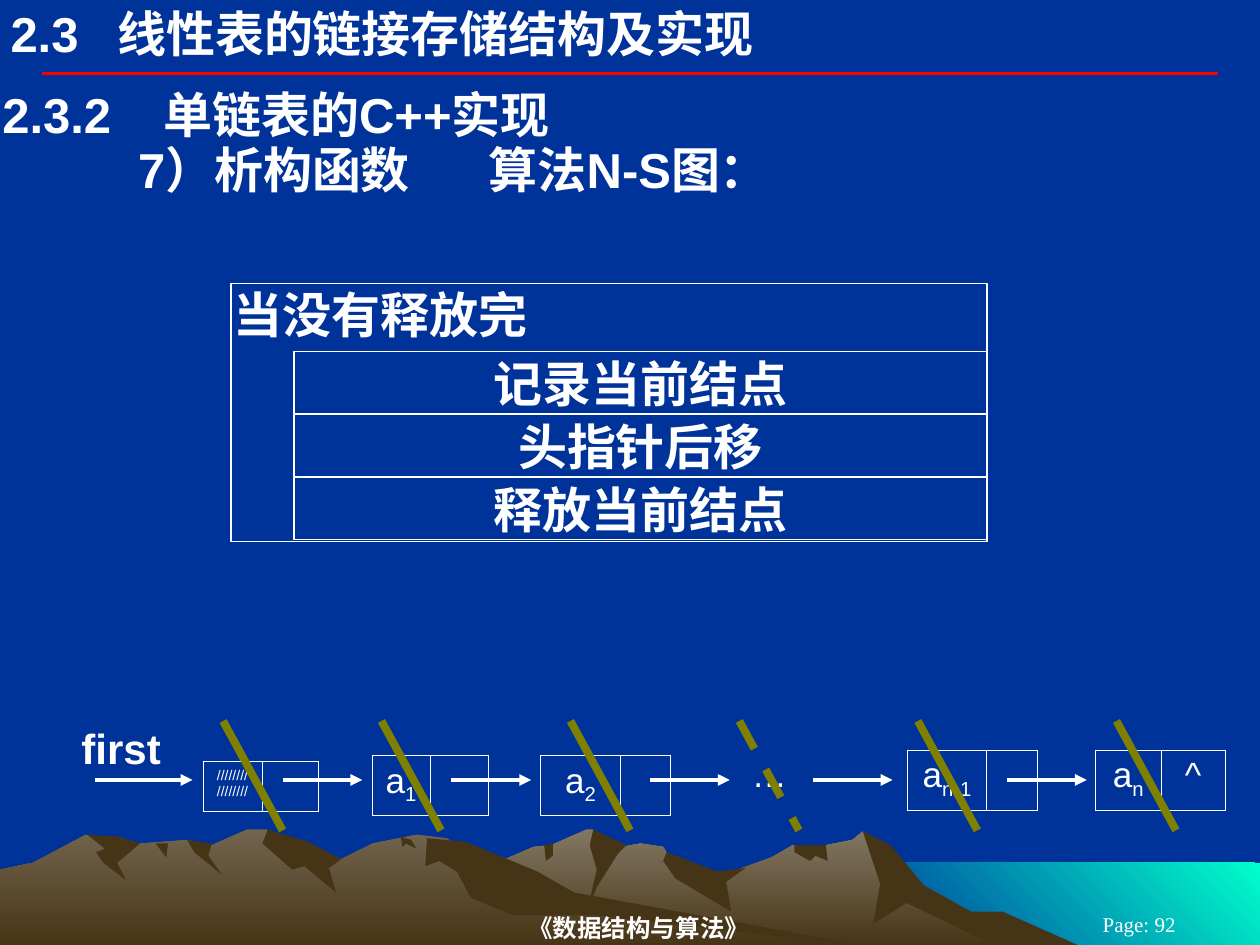
from dataclasses import dataclass
from typing import Optional

from lxml.etree import SubElement
from pptx import Presentation
from pptx.dml.color import RGBColor
from pptx.enum.dml import MSO_LINE
from pptx.enum.shapes import MSO_CONNECTOR, MSO_SHAPE
from pptx.enum.text import MSO_ANCHOR, PP_ALIGN
from pptx.oxml.ns import qn
from pptx.util import Pt

WHITE, NAVY, RED, OLIVE = "FFFFFF", "003399", "FF0000", "808000"
AQUA, ROCK, DARK_ROCK, SHADE = "00FFCC", "837763", "72644E", "463416"
SLIDE_WIDTH, SLIDE_HEIGHT = 720, 540
GROUND = 541
DOWN, DOWN_LEFT = 270, 225
LEFT, CENTER = PP_ALIGN.LEFT, PP_ALIGN.CENTER
TOP, MIDDLE = MSO_ANCHOR.TOP, MSO_ANCHOR.MIDDLE

TITLE = "2.3\t线性表的链接存储结构及实现"
SECTION = "2.3.2\t单链表的C++实现"
TOPIC = "\t7）析构函数\t算法N-S图："
COURSE, PAGE = "《数据结构与算法》", "Page: 92"

LOOP_CONDITION = "当没有释放完"
LOOP_STEPS = ["记录当前结点", "头指针后移", "释放当前结点"]
LOOP_LEFT, LOOP_TOP, LOOP_WIDTH, LOOP_HEIGHT = 132, 162, 432, 147.6
STEP_TOP, STEP_PITCH, STEP_WIDTH, STEP_HEIGHT = 201, 36, 396, 35.3


@dataclass
class Node:
    left: float
    top: float
    height: float
    fields: list
    widths: list
    strike: float
    link: Optional[float] = None
    size: int = 20
    faded: bool = False


HEAD_POINTER, HEAD_LINK = "first", (54, 110)
NODES = [
    Node(116, 435, 26.6, ["////////////////", ""], [33.8, 32.4], 127.5, 161.5, size=8),
    Node(212.5, 431.5, 34.6, ["a_1", ""], [33.2, 33.2], 218, 258),
    Node(309, 431.5, 34.6, ["a_2", ""], [45.4, 28.8], 326, 371.5),
    Node(422.5, 428.5, 31.7, ["…"], [33.8], 422.5, 464.5, faded=True),
    Node(518.5, 428.5, 34.6, ["a_n-1", ""], [45.4, 28.8], 524.5, 575.5),
    Node(626, 428.5, 34.6, ["a_n", "^"], [37.4, 36.7], 638),
]
LINK_Y, LINK_LENGTH = 445.7, 45.5
STRIKE_TOP, STRIKE_WIDTH, STRIKE_HEIGHT = 412, 34, 62.5

SHORE = [(492, 493), (720, 493)]
RIGHT_RIDGE = [
    (186, 541), (199, 532), (235, 510), (284, 493), (305, 484), (315, 483), (335, 474),
    (339, 474), (350, 485), (366, 482), (379, 484), (386, 496), (408, 502), (441, 490),
    (453, 483), (472, 483), (487, 480), (493, 475), (521, 503), (550, 521), (591, 541)]
LEFT_RIDGE = [
    (0, 497), (19, 493), (49, 477), (68, 483), (107, 480), (121, 483), (141, 474),
    (153, 474), (170, 482), (195, 491), (213, 482), (238, 477), (255, 479), (311, 513),
    (497, 541)]
RIGHT_SHADOWS = {
    "east slope": [(493, 475), (509, 483), (528, 506), (555, 521), (573, 521),
                   (618, 541), (570, 541), (518, 516), (499, 528), (503, 505)],
    "peak": [(339, 474), (358, 483), (353, 488), (341, 507), (335, 523), (341, 497),
             (337, 483)],
    "hollow": [(381, 487), (410, 498), (426, 496), (415, 504), (418, 521), (386, 502),
               (379, 492)],
    "east notch": [(454, 483), (472, 483), (473, 492), (466, 489), (463, 492), (454, 487)],
    "west notch": [(311, 483), (316, 482), (316, 489), (312, 492)],
}
LEFT_SHADOWS = {
    "summit": [(153, 474), (176, 481), (195, 491), (188, 496), (192, 510), (174, 495),
               (167, 497), (150, 482)],
    "east slope": [(244, 479), (266, 481), (307, 498), (328, 510), (497, 541), (340, 523),
                   (293, 523), (269, 513), (261, 498), (251, 492), (243, 495)],
    "east notch": [(229, 478), (235, 480), (238, 485), (232, 482), (230, 484)],
    "middle": [(107, 480), (121, 482), (119, 489), (127, 500), (111, 487)],
    "chip": [(89, 482), (96, 482), (95, 490)],
    "west": [(50, 477), (68, 478), (80, 482), (67, 493), (72, 503), (59, 493), (55, 487),
             (60, 485)],
}


def color(value):
    return RGBColor.from_string(value)


def style(paragraph, size, bold=False, align=LEFT, font="Arial", tabs=()):
    if tabs:
        tab_list = SubElement(paragraph._p.get_or_add_pPr(), qn("a:tabLst"))
        for tab in tabs:
            SubElement(tab_list, qn("a:tab"), pos=str(Pt(tab)), algn="l")
    paragraph.alignment, paragraph.line_spacing = align, 1.0
    paragraph.space_before = Pt(0)
    for run in paragraph.runs:
        run.font.size, run.font.bold, run.font.name = Pt(size), bold, font
        run.font.color.rgb = color(WHITE)


def write(shape, text, size, inset=(1.4, 0.7), anchor=TOP, **look):
    frame = shape.text_frame
    frame.word_wrap, frame.vertical_anchor = True, anchor
    frame.margin_left = frame.margin_right = Pt(inset[0])
    frame.margin_top = frame.margin_bottom = Pt(inset[1])
    frame.text = text
    style(frame.paragraphs[0], size, **look)


def label(slide, text, left, top, width, height, size, **look):
    box = slide.shapes.add_textbox(Pt(left), Pt(top), Pt(width), Pt(height))
    write(box, text, size, **look)


def line(slide, x1, y1, x2, y2, stroke, width):
    connector = slide.shapes.add_connector(
        MSO_CONNECTOR.STRAIGHT, Pt(x1), Pt(y1), Pt(x2), Pt(y2))
    connector.line.color.rgb, connector.line.width = color(stroke), Pt(width)
    SubElement(connector._element.spPr, qn("a:effectLst"))
    return connector


def outline(slide, points):
    builder = slide.shapes.build_freeform(*points[0], scale=Pt(1))
    builder.add_line_segments(points[1:], close=True)
    shape = builder.convert_to_shape()
    shape.shadow.inherit = False
    shape.line.fill.background()
    return shape.fill


def land(slide, skyline, colors, angle):
    (start, _), (end, _) = skyline[0], skyline[-1]
    fill = outline(slide, skyline + [(end, GROUND), (start, GROUND)])
    fill.gradient()
    fill.gradient_angle = angle
    for stop, value in zip(fill.gradient_stops, colors):
        stop.color.rgb = color(value)


def scenery(slide):
    land(slide, SHORE, (AQUA, NAVY), DOWN_LEFT)
    for ridge, rock, shadows in ((RIGHT_RIDGE, ROCK, RIGHT_SHADOWS),
                                 (LEFT_RIDGE, DARK_ROCK, LEFT_SHADOWS)):
        land(slide, ridge, (rock, SHADE), DOWN)
        for shadow in shadows.values():
            fill = outline(slide, shadow)
            fill.solid()
            fill.fore_color.rgb = color(SHADE)


def headings(slide):
    line(slide, 24, 42, SLIDE_WIDTH - 24, 42, RED, 2.25)
    footer = dict(align=CENTER, font="Times New Roman", anchor=MIDDLE)
    label(slide, COURSE, 147, 520, 436, 20, 14, bold=True, **footer)
    label(slide, PAGE, 594, 522, 114, 12, 12, **footer)
    title = slide.shapes.title
    title.left, title.top, title.width, title.height = Pt(6), Pt(2.2), Pt(468), Pt(34)
    write(title, TITLE, 28, inset=(0, 0), bold=True, tabs=[61])
    label(slide, SECTION, 0, 47.5, SLIDE_WIDTH, 35, 28, bold=True, tabs=[92])
    label(slide, TOPIC, 0, 78.8, SLIDE_WIDTH, 35, 28, bold=True, tabs=[77.5, 278])


def block(slide, text, left, top, width, height, align):
    shape = slide.shapes.add_shape(
        MSO_SHAPE.RECTANGLE, Pt(left), Pt(top), Pt(width), Pt(height))
    shape.shadow.inherit = False
    shape.line.color.rgb, shape.line.width = color(WHITE), Pt(0.75)
    shape.fill.solid()
    shape.fill.fore_color.rgb = color(NAVY)
    write(shape, text, 28, bold=True, align=align)
    return shape


def loop_chart(slide):
    loop = block(slide, LOOP_CONDITION, LOOP_LEFT, LOOP_TOP, LOOP_WIDTH, LOOP_HEIGHT, LEFT)
    loop.fill.background()
    step_left = LOOP_LEFT + LOOP_WIDTH - STEP_WIDTH
    for index, step in enumerate(LOOP_STEPS):
        block(slide, step, step_left, STEP_TOP + index * STEP_PITCH,
              STEP_WIDTH, STEP_HEIGHT, CENTER)


def node_cells(slide, node):
    table = slide.shapes.add_table(1, len(node.fields), Pt(node.left), Pt(node.top),
                                   Pt(sum(node.widths)), Pt(node.height)).table
    table.first_row = table.horz_banding = False
    for column, cell, width, field in zip(
            table.columns, table.rows[0].cells, node.widths, node.fields):
        column.width = Pt(width)
        for side in ("a:lnL", "a:lnR", "a:lnT", "a:lnB"):
            border = SubElement(cell._tc.get_or_add_tcPr(), qn(side), w=str(Pt(0.45)))
            if node.faded:
                SubElement(border, qn("a:noFill"))
            else:
                SubElement(SubElement(border, qn("a:solidFill")), qn("a:srgbClr"), val=WHITE)
        cell.fill.background()
        name, _, subscript = field.partition("_")
        if name:
            paragraph = cell.text_frame.paragraphs[0]
            paragraph.text = name
            if subscript:
                index = paragraph.add_run()
                index.text = subscript
                index.font._element.set("baseline", "-25000")
            style(paragraph, node.size, align=CENTER)


def linked_list(slide):
    label(slide, HEAD_POINTER, 31.2, 412, 76, 30, 24, bold=True, align=CENTER)
    for node in NODES:
        node_cells(slide, node)
    links = [(n.link, n.link + LINK_LENGTH) for n in NODES if n.link is not None]
    for start, end in [HEAD_LINK] + links:
        arrow = line(slide, start, LINK_Y, end, LINK_Y, WHITE, 2.25)
        SubElement(arrow.line._get_or_add_ln(), qn("a:tailEnd"), type="triangle")
    for node in NODES:
        strike = line(slide, node.strike, STRIKE_TOP, node.strike + STRIKE_WIDTH,
                      STRIKE_TOP + STRIKE_HEIGHT, OLIVE, 4.5)
        if node.faded:
            strike.line.dash_style = MSO_LINE.DASH


def main():
    deck = Presentation()
    deck.slide_width, deck.slide_height = Pt(SLIDE_WIDTH), Pt(SLIDE_HEIGHT)
    slide = deck.slides.add_slide(deck.slide_layouts[5])
    slide.background.fill.solid()
    slide.background.fill.fore_color.rgb = color(NAVY)
    for draw in (scenery, headings, linked_list, loop_chart):
        draw(slide)
    deck.save("out.pptx")


if __name__ == "__main__":
    main()
